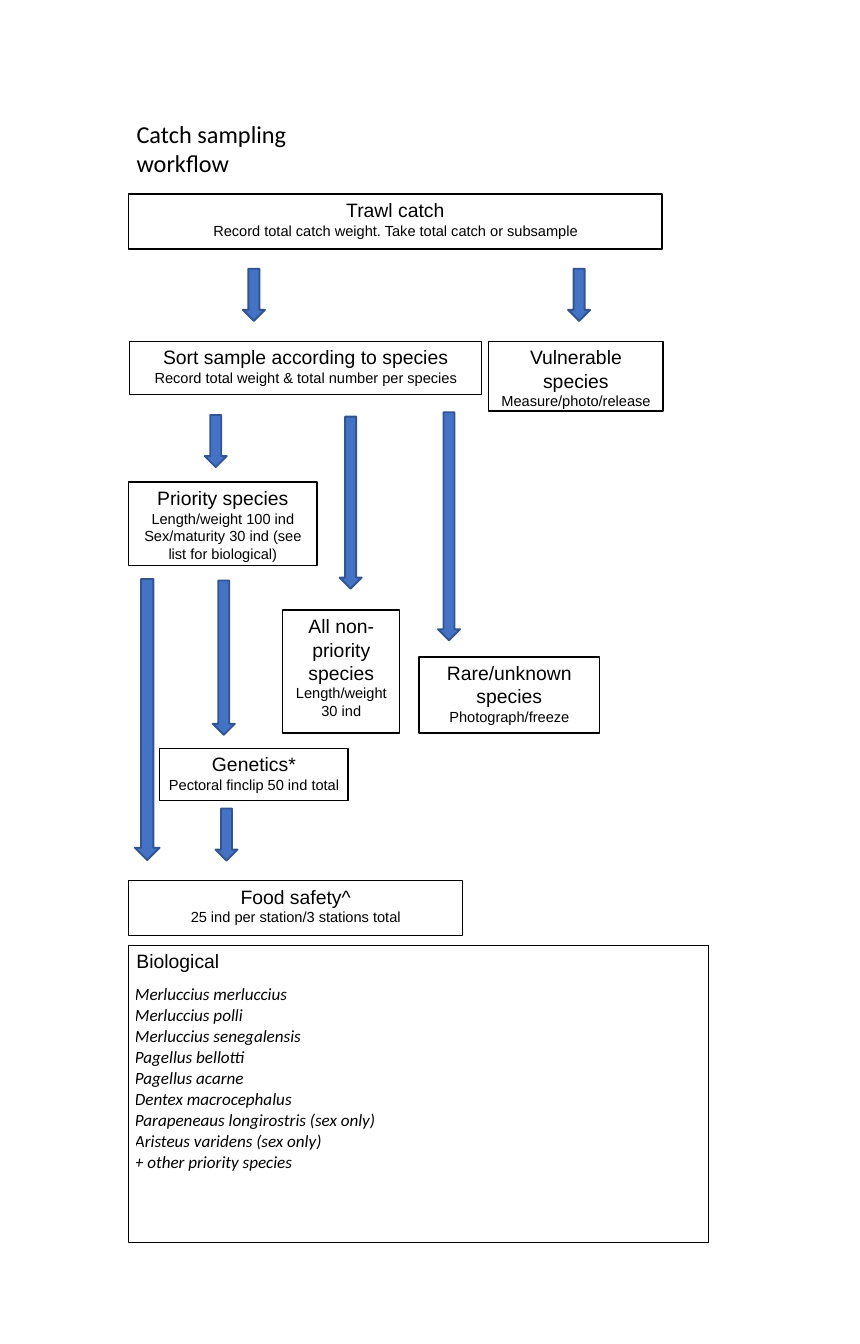
from lxml import etree
from pptx import Presentation
from pptx.dml.color import RGBColor
from pptx.enum.shapes import MSO_SHAPE
from pptx.enum.text import MSO_ANCHOR, MSO_AUTO_SIZE, PP_ALIGN
from pptx.oxml.ns import qn
from pptx.util import Cm, Pt

RECT, DOWN = MSO_SHAPE.RECTANGLE, MSO_SHAPE.DOWN_ARROW
TOP, MID = MSO_ANCHOR.TOP, MSO_ANCHOR.MIDDLE
LEFT, MIDDLE = PP_ALIGN.LEFT, PP_ALIGN.CENTER
FIXED = MSO_AUTO_SIZE.NONE
BLACK = RGBColor(0, 0, 0)
WHITE = RGBColor(255, 255, 255)
BLUE = RGBColor(0x44, 0x72, 0xC4)
NAVY = RGBColor(0x32, 0x54, 0x91)

TITLE = {"size": Pt(12.8), "name": "Calibri"}
HEAD = {"size": Pt(10.2), "name": "Arial"}
NOTE = {"size": Pt(7.7), "name": "Arial"}
ITEM = {"size": Pt(9), "name": "Calibri", "italic": True}
FRAME = {
    "margin_left": Cm(0.15), "margin_right": Cm(0.15),
    "margin_top": Cm(0.08), "margin_bottom": Cm(0.08),
    "word_wrap": True, "auto_size": FIXED,
}
CELL = {"margin_left": 0, "margin_right": 0, "margin_top": 0, "margin_bottom": 0}

STEPS = [
    ((2.39, 3.61, 9.93, 1.02), "Trawl catch",
     "Record total catch weight. Take total catch or subsample"),
    ((2.41, 6.35, 6.55, 0.99), "Sort sample according to species",
     "Record total weight & total number per species"),
    ((9.09, 6.35, 3.25, 1.3), "Vulnerable species", "Measure/photo/release"),
    ((2.39, 8.97, 3.51, 1.55), "Priority species", "Length/weight 100 ind",
     "Sex/maturity 30 ind (see list for biological)"),
    ((5.26, 11.35, 2.18, 2.29), "All non-priority species",
     "Length/weight 30 ind"),
    ((7.8, 12.22, 3.35, 1.42), "Rare/unknown species", "Photograph/freeze"),
    ((2.97, 13.92, 3.51, 0.97), "Genetics*", "Pectoral finclip 50 ind total"),
    ((2.39, 16.38, 6.22, 1.02), "Food safety^",
     "25 ind per station/3 stations total"),
]
ARROWS = [
    (4.52, 5, 0.41, 0.97), (10.57, 5, 0.41, 0.97),
    (3.81, 7.72, 0.41, 0.97), (6.32, 7.75, 0.41, 3.2),
    (8.15, 7.67, 0.41, 4.24), (2.51, 10.77, 0.46, 5.23),
    (3.96, 10.8, 0.41, 2.87), (4.01, 15.04, 0.41, 0.97),
]
SPECIES = [
    "Merluccius merluccius", "Merluccius polli", "Merluccius senegalensis",
    "Pagellus bellotti", "Pagellus acarne", "Dentex macrocephalus",
    "Parapeneaus longirostris (sex only) Aristeus varidens (sex only)",
    "+ other priority species", "",
]


def style(item, values):
    for key, value in values.items():
        setattr(item, key, value)


class Chart:
    def __init__(self, deck):
        self.slide = deck.slides.add_slide(deck.slide_layouts[5])
        self.shapes = self.slide.shapes

    def label(self, para, text, look, align=LEFT):
        para.alignment = align
        run = para.add_run()
        run.text = text
        style(run.font, look)
        run.font.color.rgb = BLACK

    def title(self, text, spot):
        title = self.shapes.title
        style(title, dict(zip(("left", "top", "width", "height"), map(Cm, spot))))
        style(title.text_frame, FRAME)
        title.text_frame.vertical_anchor = MID
        self.label(title.text_frame.paragraphs[0], text, TITLE)

    def shape(self, kind, spot, fill, line, width):
        shape = self.shapes.add_shape(kind, *map(Cm, spot))
        shape.shadow.inherit = False
        shape.fill.solid()
        shape.fill.fore_color.rgb = fill
        shape.line.color.rgb = line
        shape.line.width = Pt(width)
        return shape

    def box(self, spot, head, *notes, align=MIDDLE, width=0.75):
        frame = self.shape(RECT, spot, WHITE, BLACK, width).text_frame
        style(frame, FRAME)
        frame.vertical_anchor = TOP
        self.label(frame.paragraphs[0], head, HEAD, align)
        for note in notes:
            self.label(frame.add_paragraph(), note, NOTE, align)

    def arrow(self, spot):
        self.shape(DOWN, spot, BLUE, NAVY, 1)

    def edge(self, cell, side, width):
        props = cell._tc.get_or_add_tcPr()
        line = etree.SubElement(props, qn("a:ln" + side), w=str(Pt(width)))
        fill = etree.SubElement(line, qn("a:solidFill"))
        etree.SubElement(fill, qn("a:srgbClr"), val=str(WHITE))

    def table(self, spot, items):
        table = self.shapes.add_table(len(items), 2, *map(Cm, spot)).table
        table.first_row = table.horz_banding = False
        for row, text in enumerate(items):
            table.rows[row].height = Cm(0.78 if "Aristeus" in text else 0.39)
            for col, value in enumerate((text, "")):
                cell = table.cell(row, col)
                style(cell, CELL)
                for side in "LRTB":
                    thick = (row, side) in ((0, "B"), (1, "T"))
                    self.edge(cell, side, 3 if thick else 1)
                cell.fill.background()
                para = cell.text_frame.paragraphs[0]
                if value:
                    self.label(para, value, ITEM)
                else:
                    etree.SubElement(para._p, qn("a:endParaRPr"), sz="900")


def main():
    deck = Presentation()
    deck.slide_width, deck.slide_height = Cm(16), Cm(25)
    chart = Chart(deck)
    chart.title("Catch sampling workflow", (2.39, 1.88, 4.2, 1.75))
    for spot, *texts in STEPS:
        chart.box(spot, *texts)
    for spot in ARROWS:
        chart.arrow(spot)
    chart.box((2.39, 17.58, 10.8, 5.54), "Biological", align=LEFT, width=0.5)
    chart.table((2.51, 18.31, 9.8, 3.9), SPECIES)
    deck.save("out.pptx")


if __name__ == "__main__":
    main()
